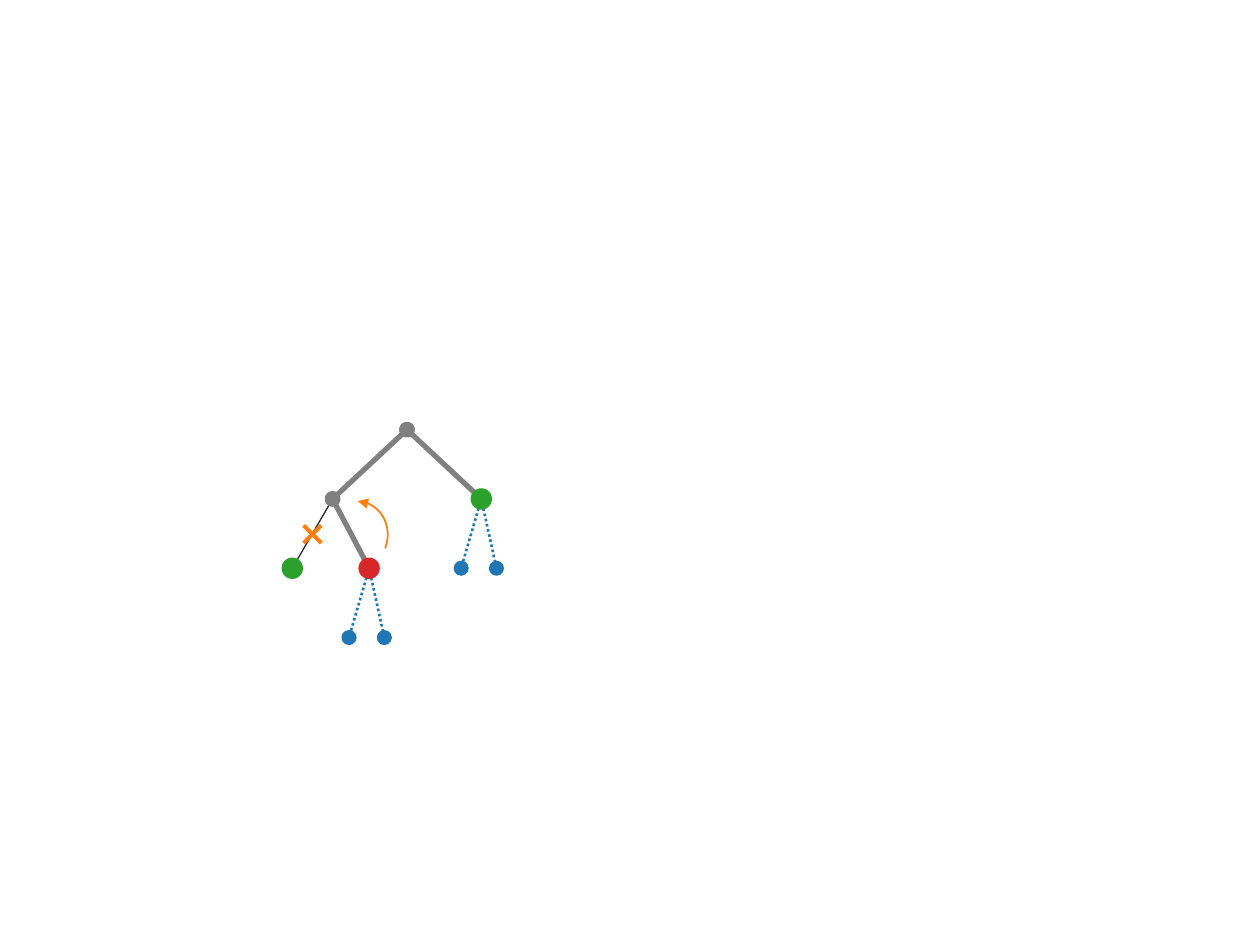
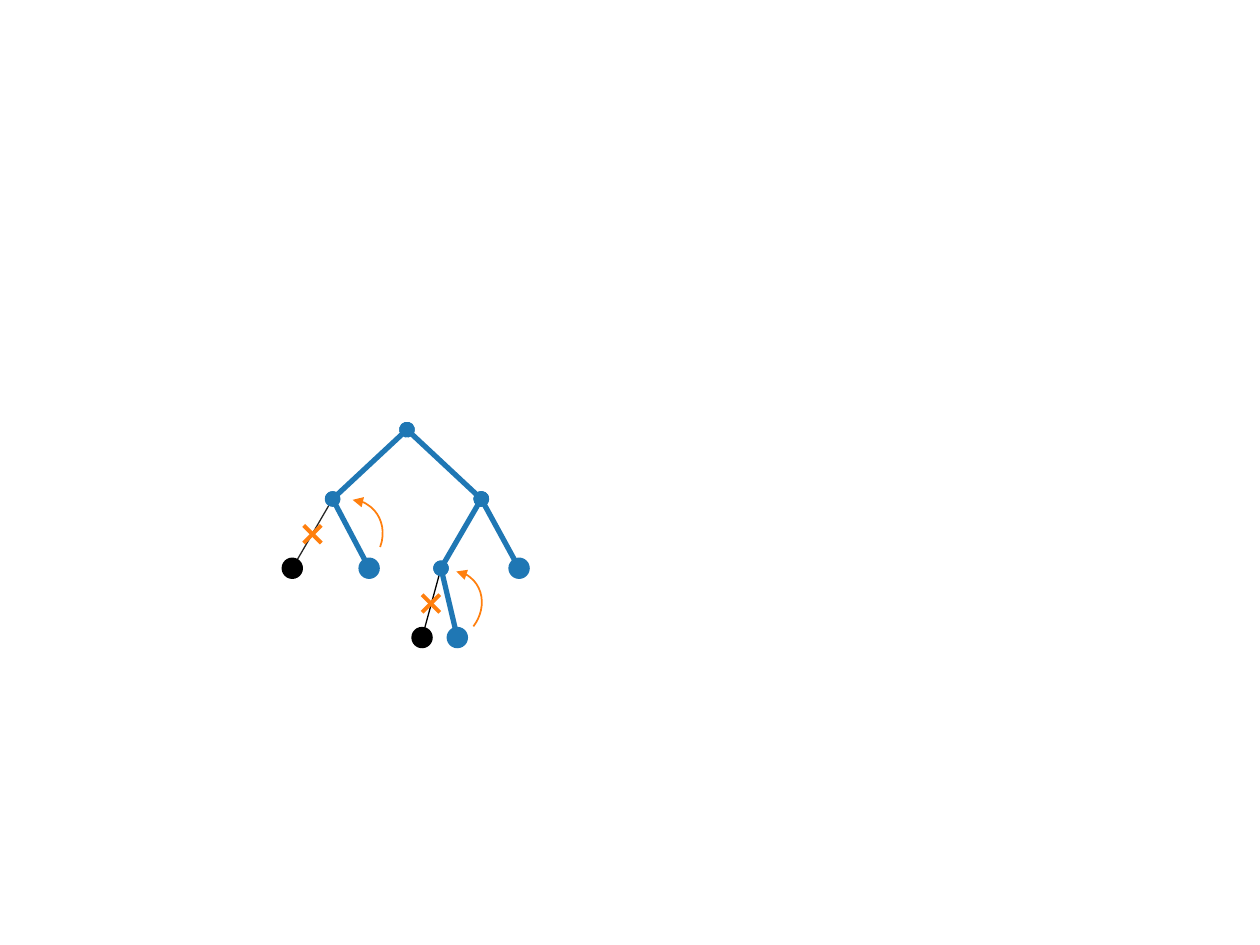
"""Builds two slides of tree diagrams with pruned branches and promoted nodes."""
from lxml import etree
from pptx import Presentation
from pptx.dml.color import RGBColor
from pptx.enum.dml import MSO_LINE
from pptx.enum.shapes import MSO_CONNECTOR, MSO_SHAPE
from pptx.oxml.ns import qn
from pptx.util import Inches, Pt

STRAIGHT = MSO_CONNECTOR.STRAIGHT
OVAL = MSO_SHAPE.OVAL
ARC = MSO_SHAPE.ARC
DOTTED = MSO_LINE.ROUND_DOT

GRAY = RGBColor(0x80, 0x80, 0x80)
DARK = RGBColor(0x26, 0x26, 0x26)
BLACK = RGBColor(0, 0, 0)
BLUE = RGBColor(0x1F, 0x77, 0xB4)
GREEN = RGBColor(0x2C, 0xA0, 0x2C)
RED = RGBColor(0xD7, 0x27, 0x28)
ORANGE = RGBColor(0xFF, 0x7F, 0x0E)

LEVELS = [3.41, 3.96, 4.51, 5.06]
ROOT = (3.23, LEVELS[0])
LEFT = (2.64, LEVELS[1])
RIGHT = (3.82, LEVELS[1])
PRUNED = (2.32, LEVELS[2])
PROMOTED = (2.93, LEVELS[2])
INNER = (3.5, LEVELS[2])
OUTER = (4.12, LEVELS[2])
INNER_PRUNED = (3.35, LEVELS[3])
INNER_PROMOTED = (3.63, LEVELS[3])

ROOT_SIZE, SMALL, LARGE = 0.09, 0.12, 0.17
THIN, MEDIUM, THICK = 0.75, 1.5, 3
CHILD_OFFSETS = (0.12, -0.16)
CROSS_HALF = 0.07
ARC_START = 245.49
DEGREES_PER_ADJUSTMENT = 5 / 3


def set_line_ends(shape, **ends):
    """Put the named end shapes on the line of a shape."""
    line = shape._element.spPr.find(qn("a:ln"))
    for tag, kind in ends.items():
        etree.SubElement(line, qn(f"a:{tag}"), type=kind)


def add_line(shapes, start, end, color, width):
    """Draw a plain straight line without shadow."""
    points = [Inches(value) for value in (*start, *end)]
    connector = shapes.add_connector(STRAIGHT, *points)
    connector.line.color.rgb = color
    connector.line.width = Pt(width)
    etree.SubElement(connector._element.spPr, qn("a:effectLst"))
    return connector


def add_edge(slide, start, end, color, width=THICK, dash=None):
    """Join two tree nodes by a line with round ends."""
    edge = add_line(slide.shapes, start, end, color, width)
    if dash is not None:
        edge.line.dash_style = dash
    set_line_ends(edge, headEnd="oval", tailEnd="oval")


def add_node(slide, center, color, size=LARGE):
    """Draw a filled dot around its centre."""
    x, y = center
    node = slide.shapes.add_shape(
        OVAL, Inches(x - size / 2), Inches(y - size / 2), Inches(size), Inches(size))
    node.shadow.inherit = False
    node.fill.solid()
    node.fill.fore_color.rgb = color
    node.line.fill.background()


def add_cross(slide, x, y):
    """Mark a cut edge with a grouped orange cross."""
    group = slide.shapes.add_group_shape()
    for slope in (CROSS_HALF, -CROSS_HALF):
        add_line(group.shapes, (x - CROSS_HALF, y - slope),
                 (x + CROSS_HALF, y + slope), ORANGE, 2.25)


def add_promotion_arrow(slide, left, top, width, rotation, end_angle):
    """Draw a curved arrow that leads up to the parent node."""
    arrow = slide.shapes.add_shape(
        ARC, Inches(left), Inches(top), Inches(width), Inches(0.59))
    arrow.adjustments[0] = ARC_START / DEGREES_PER_ADJUSTMENT
    arrow.adjustments[1] = end_angle / DEGREES_PER_ADJUSTMENT
    arrow.rotation = rotation
    arrow.shadow.inherit = False
    arrow.fill.background()
    arrow.line.color.rgb = ORANGE
    arrow.line.width = Pt(1)
    set_line_ends(arrow, headEnd="triangle")


def add_possible_children(slide, parent):
    """Hang two dotted branches with small dots below a node."""
    x, y = parent
    for offset in CHILD_OFFSETS:
        child = (x + offset, y + 0.55)
        add_edge(slide, parent, child, BLUE, MEDIUM, DOTTED)
        add_node(slide, child, BLUE, SMALL)


def add_common_tree(presentation, color):
    """Add a slide with the upper tree and its cut left branch."""
    slide = presentation.slides.add_slide(presentation.slide_layouts[6])
    add_node(slide, ROOT, DARK, ROOT_SIZE)
    add_edge(slide, LEFT, PRUNED, DARK, THIN)
    for start, end in ((ROOT, LEFT), (LEFT, PROMOTED), (ROOT, RIGHT)):
        add_edge(slide, start, end, color)
    add_cross(slide, 2.48, 4.24)
    return slide


def build_growing_tree(presentation):
    """Build the slide where a node moves up and may grow children."""
    slide = add_common_tree(presentation, GRAY)
    for parent in (PROMOTED, RIGHT):
        add_possible_children(slide, parent)
    for center, color in ((PRUNED, GREEN), (RIGHT, GREEN), (PROMOTED, RED)):
        add_node(slide, center, color)
    add_promotion_arrow(slide, 2.53, 3.97, 0.54, 32.2, 346.42)


def build_pruned_tree(presentation):
    """Build the slide where two branches are cut."""
    slide = add_common_tree(presentation, BLUE)
    add_edge(slide, INNER, INNER_PRUNED, BLACK, THIN)
    for start, end in ((RIGHT, OUTER), (INNER, INNER_PROMOTED), (RIGHT, INNER)):
        add_edge(slide, start, end, BLUE)
    for center in (PRUNED, INNER_PRUNED):
        add_node(slide, center, BLACK)
    for center in (PROMOTED, INNER_PROMOTED, OUTER):
        add_node(slide, center, BLUE)
    add_cross(slide, 3.42, 4.79)
    add_promotion_arrow(slide, 2.49, 3.96, 0.54, 32.2, 346.42)
    add_promotion_arrow(slide, 3.29, 4.52, 0.52, 39.1, 357.98)


def main():
    """Create the presentation and save it."""
    presentation = Presentation()
    presentation.slide_width = Inches(10)
    presentation.slide_height = Inches(7.5)
    build_growing_tree(presentation)
    build_pruned_tree(presentation)
    presentation.save("out.pptx")


if __name__ == "__main__":
    main()
